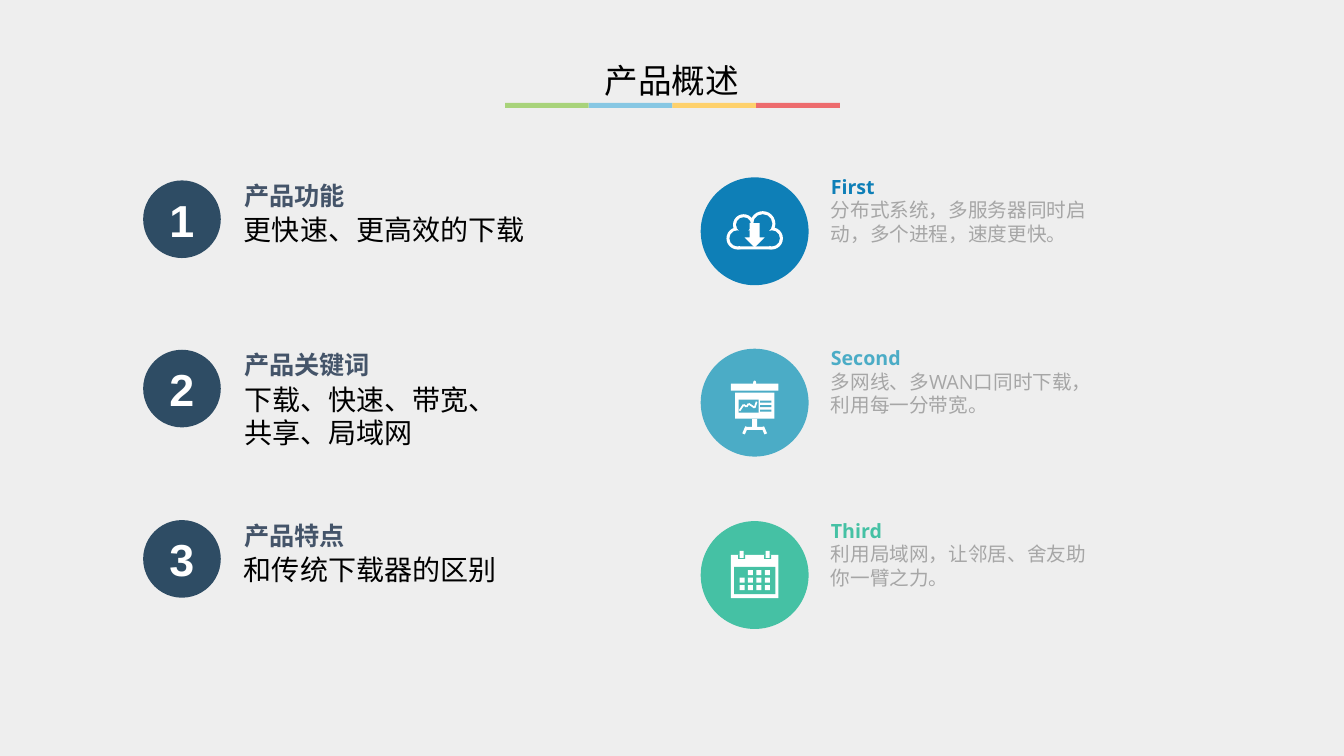
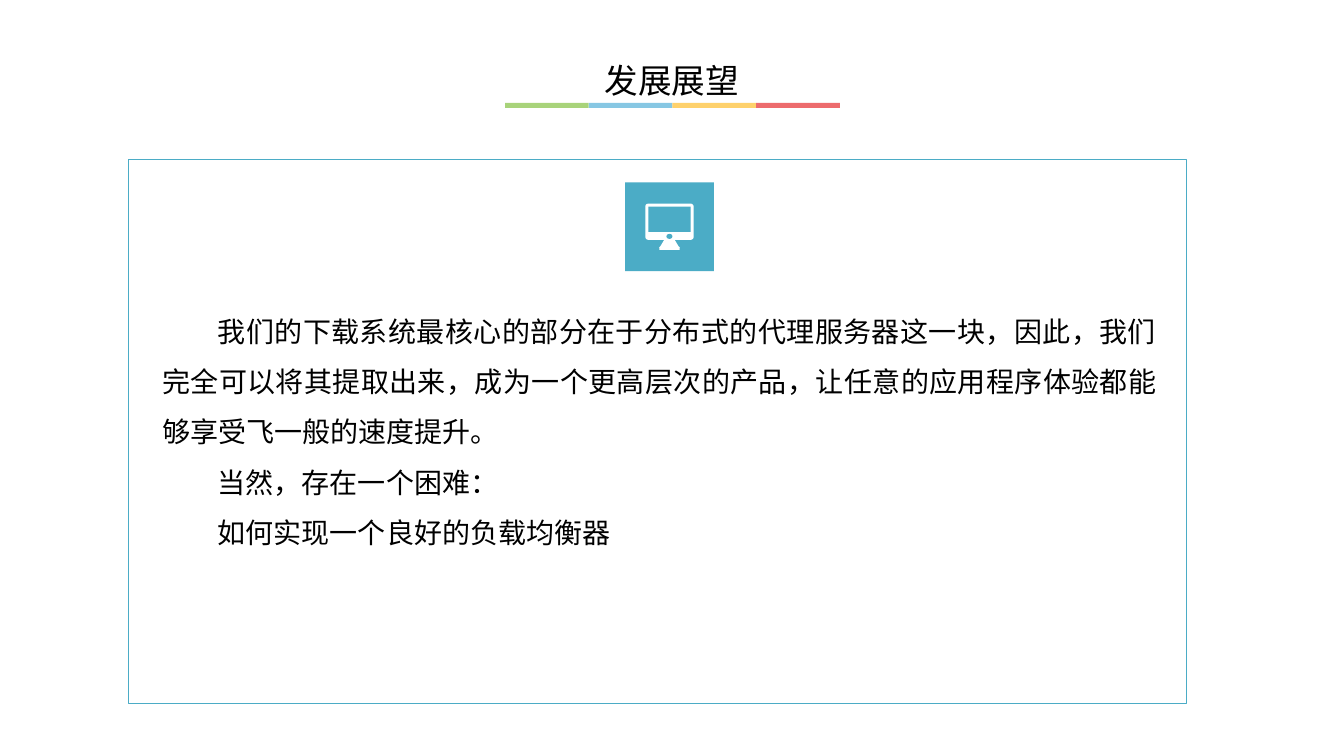
from dataclasses import dataclass
from itertools import product
from typing import Any, Callable, NamedTuple

from pptx import Presentation
from pptx.dml.color import RGBColor
from pptx.enum.shapes import MSO_CONNECTOR as Connector, MSO_SHAPE as Preset
from pptx.enum.text import MSO_ANCHOR as Anchor, PP_ALIGN as Align
from pptx.oxml.ns import qn
from pptx.oxml.xmlchemy import OxmlElement
from pptx.util import Inches, Pt

WHITE = RGBColor(0xFF, 0xFF, 0xFF)
BLACK = RGBColor(0, 0, 0)
PALE = RGBColor(0xEE, 0xEE, 0xEE)
GREY = RGBColor(0xA6, 0xA6, 0xA6)
NAVY = RGBColor(0x2E, 0x4C, 0x64)
SLATE = RGBColor(0x44, 0x54, 0x69)
BLUE = RGBColor(0x0E, 0x7F, 0xB7)
TEAL = RGBColor(0x4B, 0xAC, 0xC6)
MINT = RGBColor(0x45, 0xC1, 0xA4)
BAND_COLORS = (
    RGBColor(0xA8, 0xD3, 0x7A),
    RGBColor(0x87, 0xC7, 0xE3),
    RGBColor(0xFE, 0xD1, 0x6C),
    RGBColor(0xED, 0x6B, 0x6D),
)

HAN_FONT = "Noto Sans CJK SC"
BODY_FONT = "Open Sans"
LABEL_FONT = "Arial"
LINE_FACTOR = 1.2

NUMBER_DISC = 0.77
ICON_DISC = 1.07
ICON_SQUARE = 0.88
SIDES = (-1, 1)


class Area(NamedTuple):
    left: float
    top: float
    width: float
    height: float


@dataclass(frozen=True)
class Style:
    size: float
    font: str
    color: RGBColor
    bold: bool = False
    align: Align = Align.LEFT
    spacing: float = 1
    indent: float = 0


TITLE = Style(24, HAN_FONT, BLACK, align=Align.CENTER)
NUMBER = Style(32, LABEL_FONT, WHITE, True, Align.CENTER)
LABEL = Style(18, LABEL_FONT, SLATE, True)
DETAIL = Style(20, BODY_FONT, BLACK)
NOTE = Style(14, BODY_FONT, GREY)
OUTLOOK = Style(20, BODY_FONT, BLACK, align=Align.JUSTIFY, spacing=1.5, indent=0.55)


def add_solid(page, preset: Preset, area: Area, color: RGBColor):
    shape = page.shapes.add_shape(preset, *map(Inches, area))
    shape.shadow.inherit = False
    shape.fill.solid()
    shape.fill.fore_color.rgb = color
    shape.line.fill.background()
    return shape


def add_span(para, text: str, style: Style) -> None:
    span = para.add_run()
    span.text = text
    span.font.size = Pt(style.size)
    span.font.bold = style.bold
    span.font.name = style.font
    span.font.color.rgb = style.color
    han = OxmlElement("a:ea")
    han.set("typeface", HAN_FONT)
    span.font._element.find(qn("a:latin")).addnext(han)


def add_text(page, area: Area, lines: list, inset: tuple = (0, 0)) -> None:
    frame = page.shapes.add_textbox(*map(Inches, area)).text_frame
    frame.word_wrap = True
    frame.margin_left = frame.margin_right = Inches(inset[0])
    frame.margin_top = frame.margin_bottom = Inches(inset[1])
    for index, (text, style) in enumerate(lines):
        para = frame.add_paragraph() if index else frame.paragraphs[0]
        para.alignment = style.align
        para.line_spacing = Pt(style.size * LINE_FACTOR * style.spacing)
        settings = para._p.get_or_add_pPr()
        settings.set("indent", str(Inches(style.indent)))
        settings.set("hangingPunct", "0")
        add_span(para, text, style)


@dataclass(frozen=True)
class Icon:
    page: Any
    center_x: float
    center_y: float
    backdrop: RGBColor

    def draw(self, preset: Preset, middle: float, top: float, width: float,
             height: float, color: RGBColor = WHITE):
        left = self.center_x + middle - width / 2
        return add_solid(self.page, preset, Area(left, self.center_y + top, width, height), color)

    def cut(self, preset: Preset, middle: float, top: float, width: float, height: float):
        return self.draw(preset, middle, top, width, height, self.backdrop)

    def stroke(self, start: tuple, end: tuple, weight: float) -> None:
        ends = [Inches(center + offset) for point in (start, end)
                for center, offset in zip((self.center_x, self.center_y), point)]
        line = self.page.shapes.add_connector(Connector.STRAIGHT, *ends)
        line.line.color.rgb = WHITE
        line.line.width = Pt(weight)
        line._element.spPr.append(OxmlElement("a:effectLst"))


def draw_cloud(icon: Icon) -> None:
    rim = 0.03
    puffs = (
        (Preset.OVAL, -0.17, -0.04, 0.22, 0.22),
        (Preset.OVAL, 0.17, -0.04, 0.22, 0.22),
        (Preset.OVAL, -0.11, -0.17, 0.21, 0.21),
        (Preset.OVAL, 0.08, -0.2, 0.25, 0.25),
        (Preset.RECTANGLE, 0, -0.04, 0.35, 0.22),
    )
    for puff in puffs:
        icon.draw(*puff)
    for preset, middle, top, width, height in puffs:
        icon.cut(preset, middle, top + rim, width - 2 * rim, height - 2 * rim)
    icon.draw(Preset.DOWN_ARROW, 0, -0.08, 0.2, 0.24)


def draw_easel(icon: Icon) -> None:
    rail = (0, -0.19, 0.47, 0.07)
    board = (0, -0.1, 0.39, 0.26)
    pole = (0, 0.16, 0.05, 0.08)
    brace = (0, 0.24, 0.18, 0.03)
    for part in (rail, board, pole, brace):
        icon.draw(Preset.RECTANGLE, *part)
    icon.draw(Preset.OVAL, 0, -0.22, 0.03, 0.05)
    icon.cut(Preset.RECTANGLE, -0.06, -0.03, 0.2, 0.13)
    for row in range(3):
        icon.cut(Preset.RECTANGLE, 0.11, -0.02 + 0.09 / 2 * row, 0.11, 0.02)
    for side in SIDES:
        icon.stroke((0.08 * side, 0.24), (0.11 * side, 0.31), 2)
    trend = ((-0.15, 0.08), (-0.11, 0.02), (-0.08, 0.04), (-0.06, 0.01), (0, 0.05), (0.02, -0.01))
    for start, end in zip(trend, trend[1:]):
        icon.stroke(start, end, 1.25)


def draw_calendar(icon: Icon) -> None:
    icon.draw(Preset.RECTANGLE, 0, -0.2, 0.47, 0.43)
    icon.cut(Preset.RECTANGLE, 0, -0.08, 0.41, 0.27)
    for side in SIDES:
        icon.cut(Preset.RECTANGLE, 0.13 * side, -0.2, 0.07, 0.04)
        icon.draw(Preset.RECTANGLE, 0.13 * side, -0.24, 0.04, 0.07)
    for row, column in product(range(3), range(4)):
        if row or column:
            icon.draw(Preset.RECTANGLE, 0.25 * (column / 3 - 0.5), -0.05 + 0.15 / 2 * row,
                      0.05, 0.05)


def draw_monitor(icon: Icon) -> None:
    case = icon.draw(Preset.ROUNDED_RECTANGLE, 0, -0.23, 0.48, 0.36)
    case.adjustments[0] = 0.08
    icon.cut(Preset.RECTANGLE, 0, -0.2, 0.42, 0.25)
    icon.cut(Preset.OVAL, 0, 0.07, 0.06, 0.05)
    neck = icon.draw(Preset.TRAPEZOID, 0, 0.13, 0.2, 0.08)
    neck.adjustments[0] = 0.6
    icon.draw(Preset.RECTANGLE, 0, 0.2, 0.2, 0.03)


@dataclass(frozen=True)
class Topic:
    top: float
    label: str
    detail: str
    width: float = 2.84


@dataclass(frozen=True)
class Feature:
    top: float
    color: RGBColor
    draw_icon: Callable[[Icon], None]
    name: str
    detail: str


TOPICS = (
    Topic(1.79, "产品功能", "更快速、更高效的下载"),
    Topic(3.47, "产品关键词", "下载、快速、带宽、共享、局域网", 2.58),
    Topic(5.16, "产品特点", "和传统下载器的区别"),
)
FEATURES = (
    Feature(1.76, BLUE, draw_cloud, "First", "分布式系统，多服务器同时启动，多个进程，速度更快。"),
    Feature(3.46, TEAL, draw_easel, "Second", "多网线、多WAN口同时下载，利用每一分带宽。"),
    Feature(5.17, MINT, draw_calendar, "Third", "利用局域网，让邻居、舍友助你一臂之力。"),
)
OUTLOOK_TEXTS = (
    "我们的下载系统最核心的部分在于分布式的代理服务器这一块，因此，我们完全可以将其提取出来，"
    "成为一个更高层次的产品，让任意的应用程序体验都能够享受飞一般的速度提升。",
    "当然，存在一个困难：",
    "如何实现一个良好的负载均衡器",
)


def add_page(deck, title: str, color: RGBColor):
    page = deck.slides.add_slide(deck.slide_layouts[6])
    page.background.fill.solid()
    page.background.fill.fore_color.rgb = color
    for index, band in enumerate(BAND_COLORS):
        add_solid(page, Preset.RECTANGLE, Area(5.01 + 0.83 * index, 1.02, 0.83, 0.05), band)
    add_text(page, Area(5.26, 0.55, 2.81, 0.5), [(title, TITLE)], (0.1, 0.05))
    return page


def add_badge(page, preset: Preset, left: float, top: float, size: float,
              color: RGBColor, draw_icon: Callable[[Icon], None]) -> None:
    add_solid(page, preset, Area(left, top, size, size), color)
    draw_icon(Icon(page, left + size / 2, top + size / 2, color))


def add_topic(page, number: int, topic: Topic) -> None:
    disc = add_solid(page, Preset.OVAL, Area(1.42, topic.top, NUMBER_DISC, NUMBER_DISC), NAVY)
    frame = disc.text_frame
    frame.margin_left = frame.margin_right = 0
    frame.vertical_anchor = Anchor.MIDDLE
    frame.paragraphs[0].alignment = NUMBER.align
    add_span(frame.paragraphs[0], str(number), NUMBER)
    add_text(page, Area(2.42, topic.top, 1.42, 0.3), [(topic.label, LABEL)])
    add_text(page, Area(2.42, topic.top + 0.32, topic.width, 0.67), [(topic.detail, DETAIL)])


def add_feature(page, feature: Feature) -> None:
    add_badge(page, Preset.OVAL, 6.95, feature.top, ICON_DISC, feature.color, feature.draw_icon)
    name = Style(14, BODY_FONT, feature.color, True, spacing=2)
    add_text(page, Area(8.19, feature.top - 0.29, 2.7, 0.99),
             [(feature.name, name), (feature.detail, NOTE)], (0.05, 0.03))


def add_overview(deck) -> None:
    page = add_page(deck, "产品概述", PALE)
    for number, topic in enumerate(TOPICS, 1):
        add_topic(page, number, topic)
    for feature in FEATURES:
        add_feature(page, feature)


def add_outlook(deck) -> None:
    page = add_page(deck, "发展展望", WHITE)
    border = add_solid(page, Preset.RECTANGLE, Area(1.27, 1.58, 10.5, 5.4), WHITE)
    border.fill.background()
    border.line.color.rgb = TEAL
    border.line.width = Pt(0.75)
    add_badge(page, Preset.RECTANGLE, 6.2, 1.81, ICON_SQUARE, TEAL, draw_monitor)
    add_text(page, Area(1.56, 2.92, 9.96, 2.52),
             [(text, OUTLOOK) for text in OUTLOOK_TEXTS], (0.05, 0.03))


def main() -> None:
    deck = Presentation()
    deck.slide_width, deck.slide_height = Inches(13.33), Inches(7.5)
    add_overview(deck)
    add_outlook(deck)
    deck.save("out.pptx")


if __name__ == "__main__":
    main()
